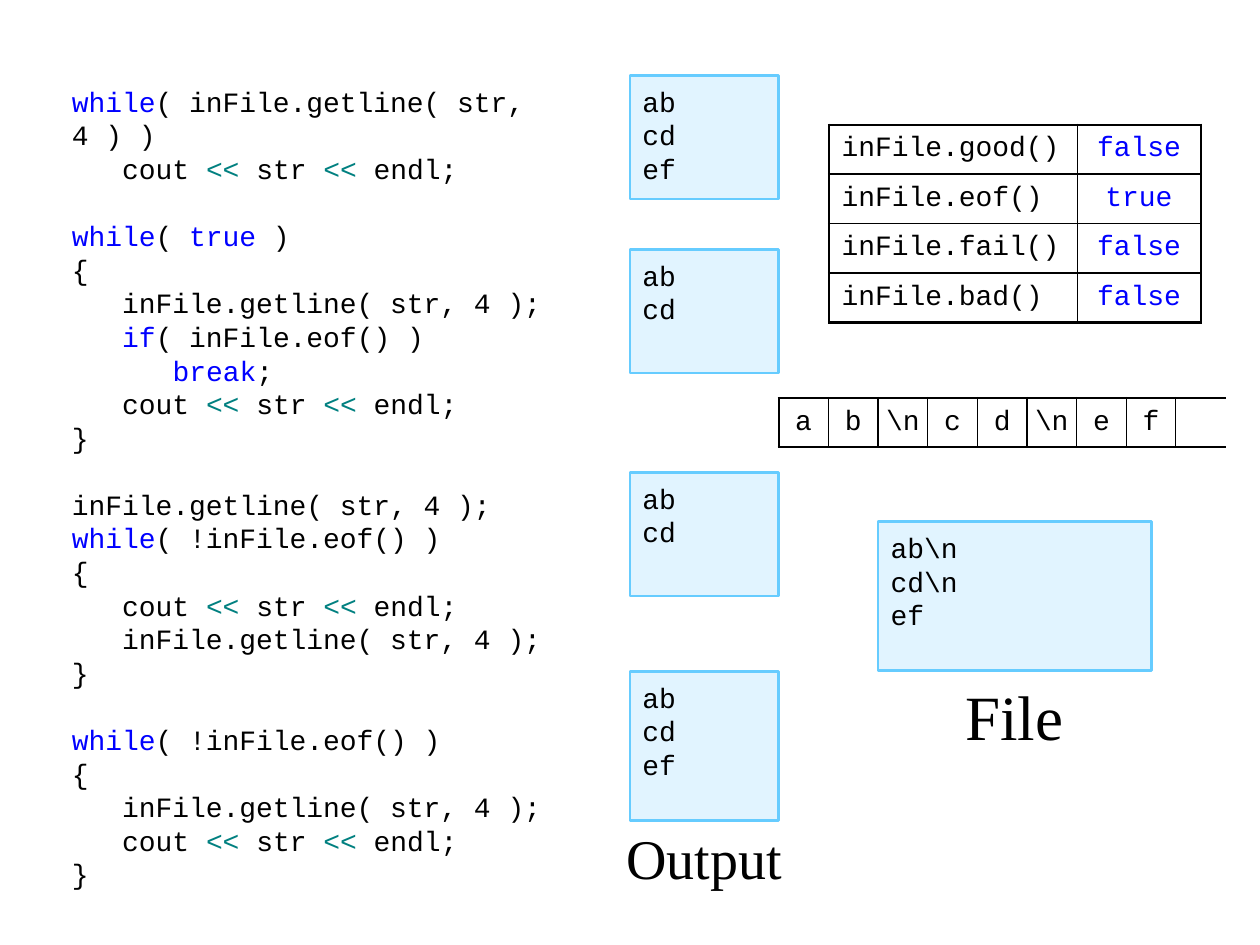
"""Build a slide comparing four getline loops with their output, file and stream state."""
from lxml import etree
from pptx import Presentation, util as u
from pptx.dml.color import RGBColor
from pptx.enum import shapes, text
from pptx.oxml import ns

MONO, SERIF = "Courier New", "Times New Roman"
BLACK = RGBColor(0, 0, 0)
BLUE = RGBColor(0, 0, 255)
TEAL = RGBColor(0, 128, 128)
PALE = RGBColor(0xE1, 0xF4, 0xFF)
SKY = RGBColor(0x66, 0xCC, 0xFF)
INK = dict.fromkeys(["while", "true", "false", "if", "break"], BLUE) | {"<<": TEAL}
LEFT, MID = text.PP_ALIGN.LEFT, text.PP_ALIGN.CENTER

PRINT = (1, "cout |<<| str |<<| endl;")
READ = "inFile.getline( str, 4 );"
TEST = (0, "while|( !inFile.eof() )")
OPEN, CLOSE = (0, "{"), (0, "}")
LOOPS = [
    [(0, "while|( inFile.getline( str, 4 ) )"), PRINT],
    [(0, "while|( |true| )"), OPEN, (1, READ), (1, "if|( inFile.eof() )"),
     (2, "break|;"), PRINT, CLOSE],
    [(0, READ), TEST, OPEN, PRINT, (1, READ), CLOSE],
    [TEST, OPEN, (1, READ), PRINT, CLOSE],
]
BOXES = [
    (["ab", "cd", "ef"], (5, 0.6, 1.18, 0.98)),
    (["ab", "cd"], (5, 1.98, 1.18, 0.98)),
    (["ab", "cd"], (5, 3.75, 1.18, 0.98)),
    (["ab", "cd", "ef"], (5, 5.33, 1.18, 1.18)),
    (["ab\\n", "cd\\n", "ef"], (6.97, 4.14, 2.17, 1.18)),
]
LABELS = [
    ("Output", 32, text.MSO_ANCHOR.MIDDLE, (4.8, 6.51, 1.58, 0.59)),
    ("File", 36, text.MSO_ANCHOR.TOP, (7.56, 5.33, 0.98, 0.79)),
]
STATE = [
    ["inFile.good()", "false"],
    ["inFile.eof()", "true"],
    ["inFile.fail()", "false"],
    ["inFile.bad()", "false"],
]
CHARS = [["a", "b", "\\n", "c", "d", "\\n", "e", "f", ""]]
STEP, PITCH, TOP = 0.4, 19.2, 0.07


def place(*spot):
    return [u.Inches(n) for n in spot]


def write(frame, blocks, size=16, font=MONO, align=LEFT, pitch=None):
    lines = [(level, line, num > 0 and row == 0)
             for num, block in enumerate(blocks)
             for row, (level, line) in enumerate(block)]
    for num, (level, line, gap) in enumerate(lines):
        para = frame.paragraphs[0] if num == 0 else frame.add_paragraph()
        para.alignment = align
        para.space_before = u.Pt(PITCH if gap else 0)
        if pitch:
            para.line_spacing = u.Pt(pitch)
        props = para._p.get_or_add_pPr()
        props.set("marL", str(u.Inches(level * STEP)))
        props.set("indent", "0")
        etree.SubElement(props, ns.qn("a:buNone"))
        for part in line.split("|"):
            run = para.add_run()
            run.text = part
            run.font.size, run.font.name = u.Pt(size), font
            run.font.bold = False
            run.font.color.rgb = INK.get(part, BLACK)


def edge(cell, side, width):
    line = etree.SubElement(cell._tc.get_or_add_tcPr(), ns.qn("a:ln" + side))
    if not width:
        etree.SubElement(line, ns.qn("a:noFill"))
        return
    line.set("w", str(u.Pt(width)))
    fill = etree.SubElement(line, ns.qn("a:solidFill"))
    etree.SubElement(fill, ns.qn("a:srgbClr")).set("val", str(BLACK))


def grid(slide, data, spot, widths, thin, pads, first=MID, shut=True):
    rows, cols = len(data), len(widths)
    table = slide.shapes.add_table(rows, cols, *place(*spot)).table
    table.first_row = table.horz_banding = False
    for col, width in zip(table.columns, widths):
        col.width = u.Inches(width)
    for r, row in enumerate(data):
        for c, word in enumerate(row):
            cell = table.cell(r, c)
            cell.vertical_anchor = text.MSO_ANCHOR.MIDDLE
            cell.margin_left = cell.margin_right = u.Inches(pads[0])
            cell.margin_top = cell.margin_bottom = u.Inches(pads[1])
            last = 1.5 if shut else 0
            edge(cell, "L", thin if c else 1.5)
            edge(cell, "R", thin if c < cols - 1 else last)
            edge(cell, "T", thin if r else 1.5)
            edge(cell, "B", thin if r < rows - 1 else 1.5)
            cell.fill.background()
            if word:
                write(cell.text_frame, [[(0, word)]], align=MID if c else first)


def main():
    deck = Presentation()
    deck.slide_width, deck.slide_height = place(10, 7.5)
    slide = deck.slides.add_slide(deck.slide_layouts[1])
    title = slide.shapes.title
    title._element.getparent().remove(title._element)

    body = slide.placeholders[1]
    body.left, body.top, body.width, body.height = place(0.47, 0.6, 4.53, 6.3)
    frame = body.text_frame
    frame.auto_size, frame.word_wrap = text.MSO_AUTO_SIZE.NONE, True
    frame.vertical_anchor = text.MSO_ANCHOR.TOP
    frame.margin_top = u.Inches(TOP)
    write(frame, LOOPS, pitch=PITCH)

    for lines, spot in BOXES:
        box = slide.shapes.add_shape(shapes.MSO_SHAPE.RECTANGLE, *place(*spot))
        box.shadow.inherit = False
        box.fill.solid()
        box.fill.fore_color.rgb = PALE
        box.line.color.rgb, box.line.width = SKY, u.Pt(1.5)
        frame = box.text_frame
        frame.word_wrap = False
        frame.vertical_anchor = text.MSO_ANCHOR.TOP
        frame.margin_top = u.Inches(TOP)
        write(frame, [[(0, line) for line in lines]], pitch=PITCH)

    for word, size, anchor, spot in LABELS:
        frame = slide.shapes.add_textbox(*place(*spot)).text_frame
        frame.word_wrap, frame.vertical_anchor = False, anchor
        write(frame, [[(0, word)]], size=size, font=SERIF, align=MID)

    grid(slide, STATE, (6.58, 0.99, 2.95, 1.57), [1.97, 0.98], 1, (0.1, 0.04), first=LEFT)
    grid(slide, CHARS, (6.18, 3.16, 3.55, 0.39), [3.55 / 9] * 9, 0.75, (0, 0), shut=False)
    deck.save("out.pptx")


if __name__ == "__main__":
    main()
